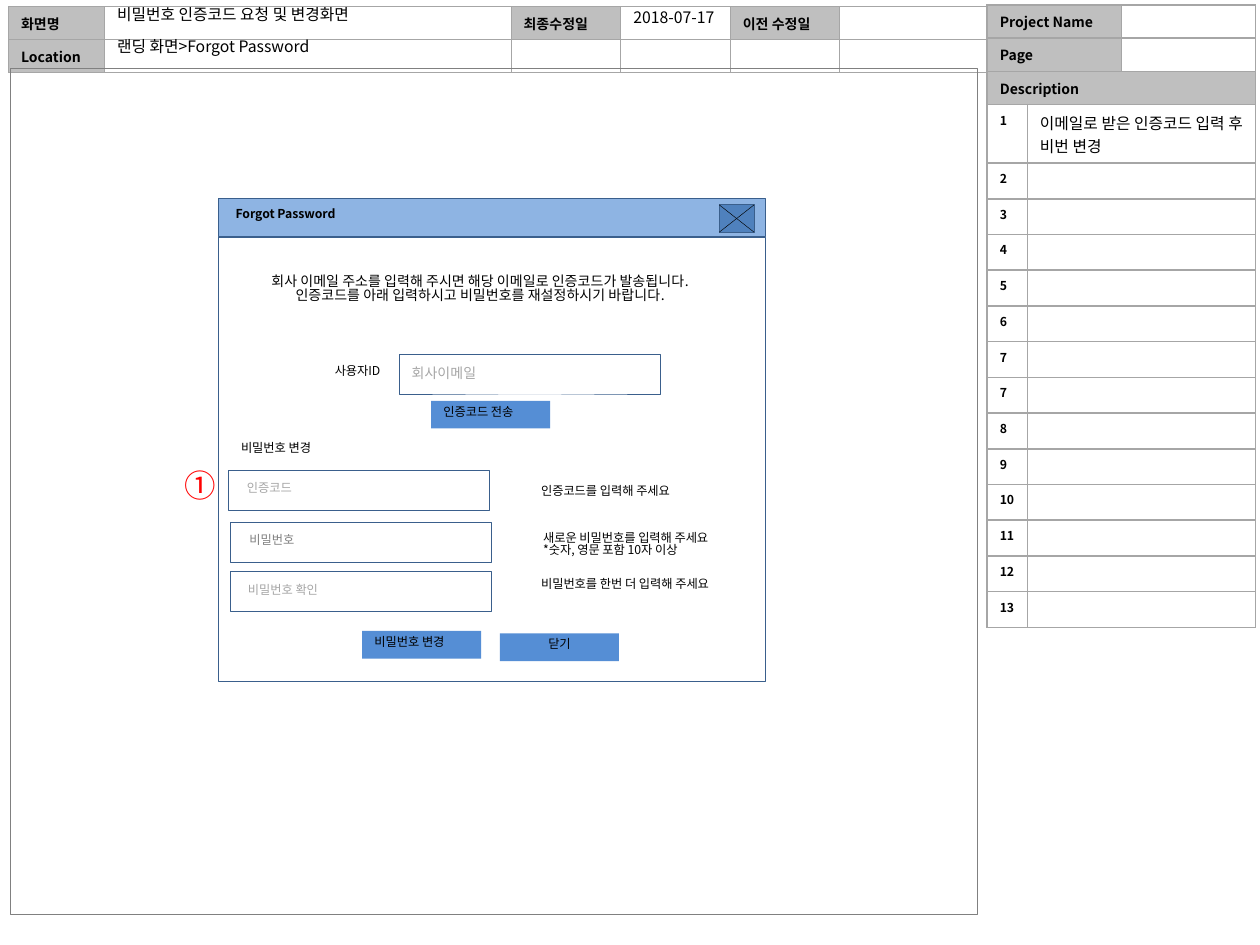
"""Build the wireframe slide for the password code request and change screen."""
from lxml.etree import SubElement
from pptx import Presentation
from pptx.dml.color import RGBColor
from pptx.enum.shapes import MSO_CONNECTOR as Connector, MSO_SHAPE as Shape
from pptx.enum.text import MSO_ANCHOR as Anchor, PP_ALIGN as Align
from pptx.oxml.ns import qn
from pptx.util import Cm, Pt

FONT = "Noto Sans CJK KR"
BLACK = RGBColor(0x00, 0x00, 0x00)
WHITE = RGBColor(0xFF, 0xFF, 0xFF)
RED = RGBColor(0xFF, 0x00, 0x00)
LABEL_GRAY = RGBColor(0xBF, 0xBF, 0xBF)
HINT_GRAY = RGBColor(0xA6, 0xA6, 0xA6)
DARK_GRAY = RGBColor(0x80, 0x80, 0x80)
BAR_BLUE = RGBColor(0x8E, 0xB4, 0xE3)
BUTTON_BLUE = RGBColor(0x55, 0x8E, 0xD5)
CLOSE_BLUE = RGBColor(0x4F, 0x81, 0xBD)
OUTLINE_BLUE = RGBColor(0x3A, 0x5F, 0x8C)

prs = Presentation()
prs.slide_width, prs.slide_height = Cm(25.4), Cm(19.05)
slide = prs.slides.add_slide(prs.slide_layouts[6])
shapes = slide.shapes


def write(frame, text, size, color=BLACK, bold=False, align=Align.LEFT, spacing=0.8):
    frame.word_wrap = True
    frame.text = text
    for paragraph in frame.paragraphs:
        paragraph.alignment = align
        paragraph.line_spacing = spacing
        for run in paragraph.runs:
            run.font.size, run.font.bold, run.font.name = Pt(size), bold, FONT
            run.font.color.rgb = color
            SubElement(run.font._element, qn("a:ea"), typeface=FONT)
        if not text:
            SubElement(paragraph._p, qn("a:endParaRPr"), sz=str(size * 100))


def format_cell(cell, text, size, bold, fill, widths):
    write(cell.text_frame, text, size, bold=bold, spacing=1.0)
    properties = cell._tc.get_or_add_tcPr()
    for side, width in zip("LRTB", widths):
        border = SubElement(properties, qn(f"a:ln{side}"), w=str(int(Pt(width))))
        paint = SubElement(border, qn("a:solidFill"))
        SubElement(paint, qn("a:srgbClr"), val=str(HINT_GRAY))
    cell.fill.solid()
    cell.fill.fore_color.rgb = fill


screen_rows = [["화면명", "", "최종수정일", "", "이전 수정일", ""],
               ["Location", "", "", "", "", ""]]
screen_info = shapes.add_table(2, 6, Cm(0.17), Cm(0.13), Cm(19.75), Cm(1.32)).table
for column, width in zip(screen_info.columns, [1.94, 8.19, 2.21, 2.21, 2.2, 3]):
    column.width = Cm(width)
for row, texts in enumerate(screen_rows):
    screen_info.rows[row].height = Cm(0.66)
    for col, text in enumerate(texts):
        format_cell(screen_info.cell(row, col), text, 8, True,
                    LABEL_GRAY if text else WHITE, [0.5] * 4)

headings = ["Project Name", "Page", "Description"]
numbers = [1, 2, 3, 4, 5, 6, 7, 7, 8, 9, 10, 11, 12, 13]
row_heights = [0.67] * 3 + [1.17] + [0.72] * 13
description = shapes.add_table(len(row_heights), 3, Cm(19.9), Cm(0.1),
                               Cm(5.41), Cm(sum(row_heights))).table
for column, width in zip(description.columns, [0.81, 1.9, 2.7]):
    column.width = Cm(width)
for row, height in zip(description.rows, row_heights):
    row.height = Cm(height)
for row, heading in enumerate(headings):
    last = 2 if heading == "Description" else 1
    description.cell(row, 0).merge(description.cell(row, last))
    for col in range(3):
        format_cell(description.cell(row, col), heading if col == 0 else "", 8, True,
                    LABEL_GRAY if col <= last else WHITE, [1] * 4)
for row, number in enumerate(numbers, len(headings)):
    note = "이메일로 받은 인증코드 입력 후 비번 변경" if number == 1 else ""
    description.cell(row, 1).merge(description.cell(row, 2))
    format_cell(description.cell(row, 0), str(number), 7, True, WHITE, [1, 0.5, 1, 1])
    format_cell(description.cell(row, 1), note, 9 if note else 7, False, WHITE,
                [0.5, 1, 1, 1])
    format_cell(description.cell(row, 2), "", 7, False, WHITE, [1] * 4)

field, button = (5.26, 0.8), (2.4, 0.56)
boxes = [
    (0.2, 1.37, 19.51, 17.07, None, DARK_GRAY, "", Align.LEFT),
    (4.4, 4, 11.02, 0.77, BAR_BLUE, OUTLINE_BLUE, "", Align.LEFT),
    (4.4, 4.79, 11.03, 8.95, WHITE, OUTLINE_BLUE, "", Align.LEFT),
    (8.69, 8.08, *button, BUTTON_BLUE, None, "인증코드 전송", Align.LEFT),
    (8.05, 7.14, *field, WHITE, OUTLINE_BLUE, "회사이메일", Align.LEFT),
    (4.61, 9.48, *field, WHITE, OUTLINE_BLUE, "", Align.LEFT),
    (4.65, 10.53, *field, WHITE, OUTLINE_BLUE, "", Align.LEFT),
    (4.65, 11.52, *field, WHITE, OUTLINE_BLUE, "", Align.LEFT),
    (7.3, 12.72, *button, BUTTON_BLUE, None, "비밀번호 변경", Align.LEFT),
    (10.08, 12.77, *button, BUTTON_BLUE, None, "닫기", Align.CENTER),
    (14.5, 4.12, 0.71, 0.57, CLOSE_BLUE, OUTLINE_BLUE, "", Align.LEFT),
]
for left, top, width, height, fill, outline, text, align in boxes:
    box = shapes.add_shape(Shape.RECTANGLE, Cm(left), Cm(top), Cm(width), Cm(height))
    box.shadow.inherit = False
    if fill is None:
        box.fill.background()
    else:
        box.fill.solid()
        box.fill.fore_color.rgb = fill
    if outline is None:
        box.line.fill.background()
    else:
        box.line.color.rgb = outline
        box.line.width = Pt(0.25)
    if text:
        is_field = fill == WHITE
        box.text_frame.vertical_anchor = Anchor.MIDDLE if is_field else Anchor.TOP
        write(box.text_frame, text, 8 if is_field else 7,
              HINT_GRAY if is_field else BLACK, align=align)

for start, end in [(4.13, 4.68), (4.68, 4.13)]:
    cross = shapes.add_connector(Connector.STRAIGHT, Cm(14.5), Cm(start), Cm(15.2), Cm(end))
    cross.line.color.rgb = BLACK
    cross.line.width = Pt(0.25)
    SubElement(cross._element.spPr, qn("a:effectLst"))

guide = ("회사 이메일 주소를 입력해 주시면 해당 이메일로 인증코드가 발송됩니다.\v"
         "인증코드를 아래 입력하시고 비밀번호를 재설정하시기 바랍니다.")
labels = [
    (4.5, 4.09, 4.37, 0.56, "Forgot Password", 7, BLACK),
    (4.98, 5.44, 9.4, 1.27, guide, 8, BLACK),
    (6.5, 7.26, 1.6, 0.56, "사용자ID", 7, BLACK),
    (4.61, 8.81, 3.43, 0.56, "비밀번호 변경", 7, BLACK),
    (4.73, 9.62, 3.43, 0.56, "인증코드", 7, HINT_GRAY),
    (4.78, 10.67, 4.32, 0.86, "비밀번호", 7, DARK_GRAY),
    (4.75, 11.67, 3.43, 0.56, "비밀번호 확인", 7, HINT_GRAY),
    (10.66, 9.67, 3.43, 0.56, "인증코드를 입력해 주세요", 7, BLACK),
    (10.7, 10.62, 4.67, 0.86,
     "새로운 비밀번호를 입력해 주세요\n*숫자, 영문 포함 10자 이상", 7, BLACK),
    (10.66, 11.56, 4.75, 0.56, "비밀번호를 한번 더 입력해 주세요", 7, BLACK),
    (2.11, 0.05, 7.8, 0.64, "비밀번호 인증코드 요청 및 변경화면", 9, BLACK),
    (2.11, 0.69, 8.2, 0.64, "랜딩 화면>Forgot Password", 9, BLACK),
    (12.52, 0.1, 2.39, 0.64, "2018-07-17", 9, BLACK),
    (3.48, 9.42, 0.58, 1.02, "①", 18, RED),
]
for left, top, width, height, text, size, color in labels:
    label = shapes.add_textbox(Cm(left), Cm(top), Cm(width), Cm(height))
    write(label.text_frame, text, size, color, bold=text == "Forgot Password",
          align=Align.CENTER if text == guide else Align.LEFT)

prs.save("out.pptx")
